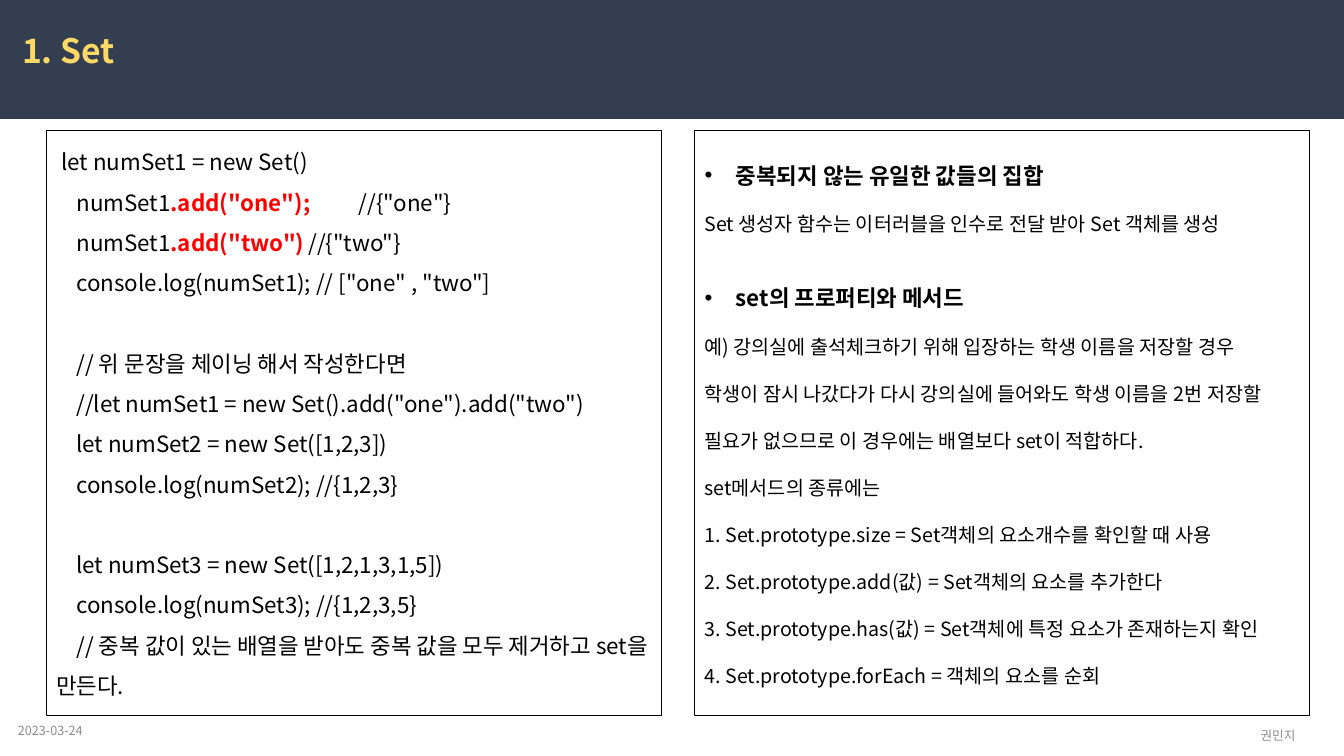
from dataclasses import dataclass

from lxml.etree import SubElement
from pptx import Presentation
from pptx.dml.color import RGBColor
from pptx.enum.shapes import MSO_SHAPE as SHAPE
from pptx.enum.text import MSO_ANCHOR as ANCHOR, MSO_AUTO_SIZE as FIT, PP_ALIGN as ALIGN
from pptx.oxml.ns import qn
from pptx.util import Inches, Pt


@dataclass(frozen=True)
class Theme:
    font: str = "Noto Sans CJK KR"
    header: str = "333F50"
    title: str = "FFD966"
    ink: str = "000000"
    accent: str = "FF0000"
    muted: str = "8C8C8C"
    title_size: int = 24
    code_size: int = 16
    body_size: int = 14
    small_size: int = 9
    code_spacing: float = 1.5
    body_spacing: float = 2.0


T = Theme()

TITLE = "1. Set"
DATE = "2023-03-24"
AUTHOR = "권민지"

CODE_BLOCKS = [
    [
        ("let numSet1 = new Set()",),
        ("numSet1", '.add("one");', '\t//{"one"}'),
        ("numSet1", '.add("two")', '\t//{"two"}'),
        ('console.log(numSet1); // ["one" , "two"]',),
    ],
    [
        ("// 위 문장을 체이닝 해서 작성한다면",),
        ('//let numSet1 = new Set().add("one").add("two")',),
        ("let numSet2 = new Set([1,2,3])",),
        ("console.log(numSet2); //{1,2,3}",),
    ],
    [
        ("let numSet3 = new Set([1,2,1,3,1,5])",),
        ("console.log(numSet3); //{1,2,3,5}",),
        ("// 중복 값이 있는 배열을 받아도 중복 값을 모두 제거하고 set을 만든다.",),
    ],
]

SECTIONS = [
    ("중복되지 않는 유일한 값들의 집합", 2.0, 0, [
        "Set 생성자 함수는 이터러블을 인수로 전달 받아 Set 객체를 생성",
    ]),
    ("set의 프로퍼티와 메서드", 1.5, 25.2, [
        "예) 강의실에 출석체크하기 위해 입장하는 학생 이름을 저장할 경우",
        "학생이 잠시 나갔다가 다시 강의실에 들어와도 학생 이름을 2번 저장할 "
        "필요가 없으므로 이 경우에는 배열보다 set이 적합하다.",
        "set메서드의 종류에는",
        "1. Set.prototype.size = Set객체의 요소개수를 확인할 때 사용",
        "2. Set.prototype.add(값) = Set객체의 요소를 추가한다",
        "3. Set.prototype.has(값) = Set객체에 특정 요소가 존재하는지 확인",
        "4. Set.prototype.forEach = 객체의 요소를 순회",
    ]),
]

PANEL_TOP, PANEL_W, PANEL_H = 1.29, 6.1, 5.81
CODE_LEFT, NOTES_LEFT = 0.46, 6.89
FIRST_INDENT, CODE_INDENT, COMMENT_TAB = 0.05, 0.2, 2.67
BULLET_INDENT = 0.31
BLOCK_GAP = 28.8


def box(*edges):
    return [Inches(v) for v in edges]


def add_run(p, text, size, color=T.ink, bold=False):
    r = p.add_run()
    r.text = text
    r.font.name, r.font.size, r.font.bold = T.font, Pt(size), bold
    r.font.color.rgb = RGBColor.from_string(color)
    SubElement(r._r.get_or_add_rPr(), qn("a:ea"), typeface=T.font)


def add_paragraph(tf, spacing, before=0, margin=0, indent=0):
    p = tf.paragraphs[0]
    if p.runs:
        p = tf.add_paragraph()
    p.alignment = ALIGN.LEFT
    p.line_spacing = spacing
    p.space_before = Pt(before)
    pPr = p._p.get_or_add_pPr()
    pPr.set("marL", str(Inches(margin)))
    pPr.set("indent", str(Inches(indent)))
    return p


def add_bullet(p):
    pPr = p._p.get_or_add_pPr()
    SubElement(pPr, qn("a:buFont"), typeface="Arial")
    SubElement(pPr, qn("a:buChar"), char="•")


def add_tab(p, at):
    tabs = SubElement(p._p.get_or_add_pPr(), qn("a:tabLst"))
    SubElement(tabs, qn("a:tab"), pos=str(Inches(at)), algn="l")


def add_panel(slide, left):
    sp = slide.shapes.add_shape(SHAPE.RECTANGLE, *box(left, PANEL_TOP, PANEL_W, PANEL_H))
    sp.shadow.inherit = False
    sp.fill.background()
    sp.line.color.rgb = RGBColor.from_string(T.ink)
    sp.line.width = Pt(0.75)
    tf = sp.text_frame
    tf.word_wrap = True
    tf.vertical_anchor = ANCHOR.TOP
    return tf


def add_header(slide):
    sp = slide.shapes.add_shape(SHAPE.RECTANGLE, *box(0, 0, 13.34, 1.18))
    sp.shadow.inherit = False
    sp.fill.solid()
    sp.fill.fore_color.rgb = RGBColor.from_string(T.header)
    sp.line.fill.background()
    slide.shapes._spTree.insert(2, sp._element)

    title = slide.shapes.title
    title.left, title.top, title.width, title.height = box(0.12, 0.25, 13.11, 0.5)
    tf = title.text_frame
    tf.word_wrap = True
    tf.auto_size = FIT.SHAPE_TO_FIT_TEXT
    tf.vertical_anchor = ANCHOR.TOP
    p = add_paragraph(tf, 1.0)
    add_run(p, TITLE, T.title_size, T.title, True)


def add_footer(slide, text, edges, align):
    tf = slide.shapes.add_textbox(*box(*edges)).text_frame
    tf.word_wrap = True
    tf.vertical_anchor = ANCHOR.MIDDLE
    p = add_paragraph(tf, 1.0)
    p.alignment = align
    add_run(p, text, T.small_size, T.muted)


def add_code(slide):
    tf = add_panel(slide, CODE_LEFT)
    for b, block in enumerate(CODE_BLOCKS):
        for i, parts in enumerate(block):
            before = BLOCK_GAP if b and i == 0 else 0
            indent = FIRST_INDENT if b == i == 0 else CODE_INDENT
            p = add_paragraph(tf, T.code_spacing, before, indent=indent)
            if len(parts) > 1:
                add_tab(p, COMMENT_TAB)
            for n, text in enumerate(parts):
                call = n == 1
                add_run(p, text, T.code_size, T.accent if call else T.ink, call)


def add_notes(slide):
    tf = add_panel(slide, NOTES_LEFT)
    for heading, spacing, before, lines in SECTIONS:
        p = add_paragraph(tf, spacing, before, BULLET_INDENT, -BULLET_INDENT)
        add_bullet(p)
        add_run(p, heading, T.code_size, bold=True)
        for text in lines:
            add_run(add_paragraph(tf, T.body_spacing), text, T.body_size)


def main():
    prs = Presentation()
    prs.slide_width, prs.slide_height = box(13.33, 7.5)
    slide = prs.slides.add_slide(prs.slide_layouts[5])
    add_header(slide)
    add_footer(slide, DATE, (0.08, 7.05, 3, 0.4), ALIGN.LEFT)
    add_footer(slide, AUTHOR, (12.03, 7.1, 1.29, 0.4), ALIGN.CENTER)
    add_notes(slide)
    add_code(slide)
    prs.save("out.pptx")


if __name__ == "__main__":
    main()
